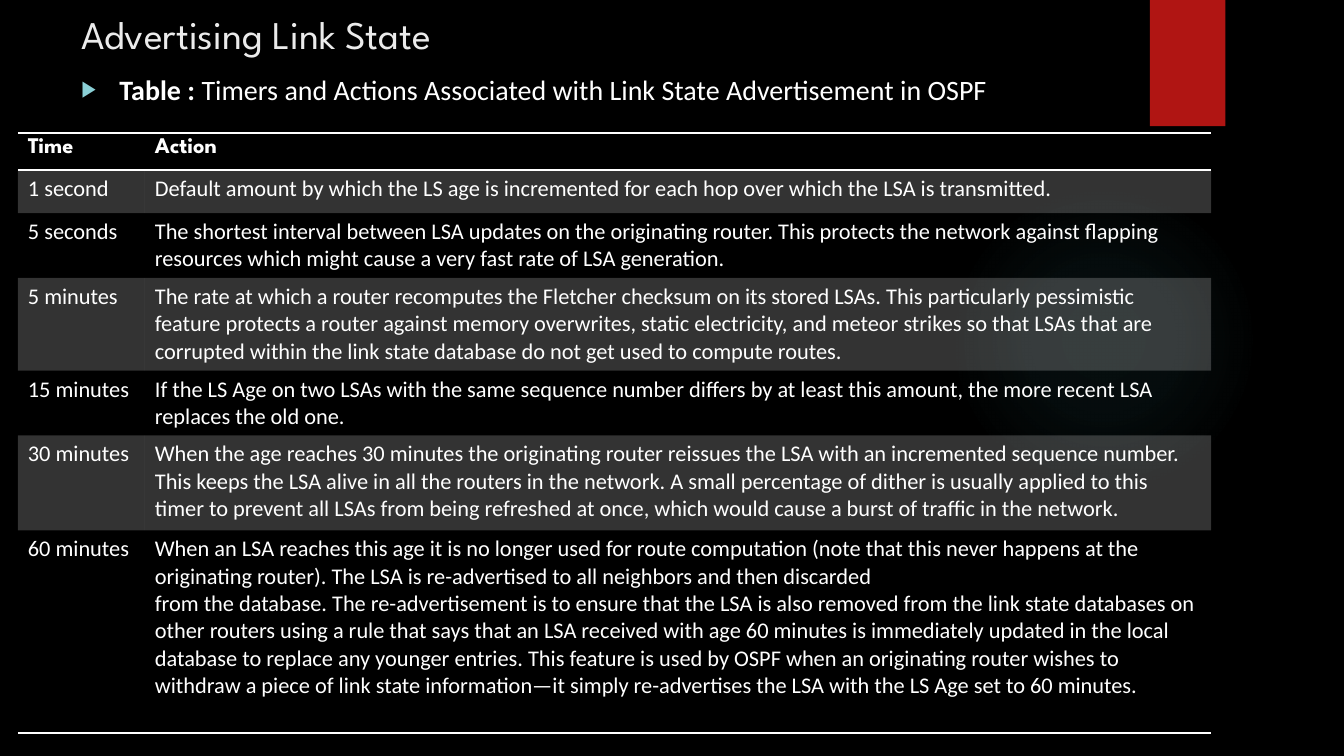
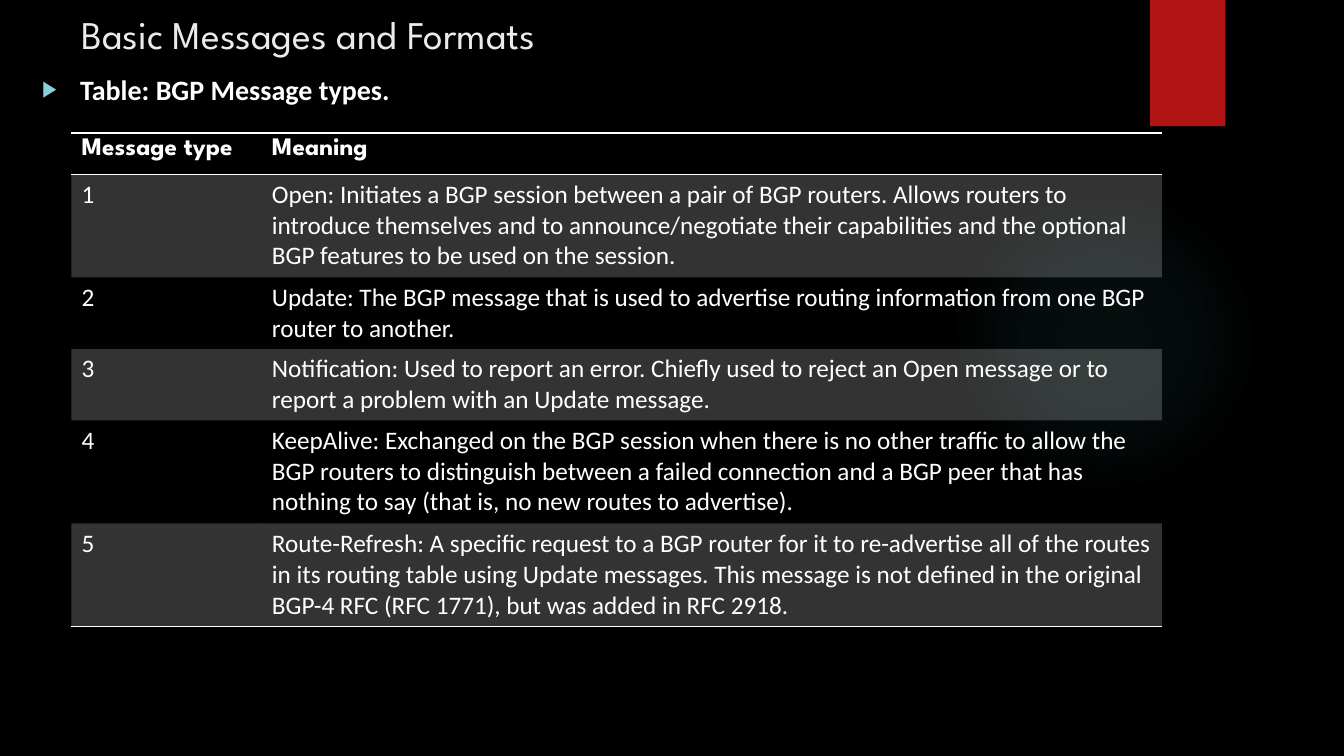
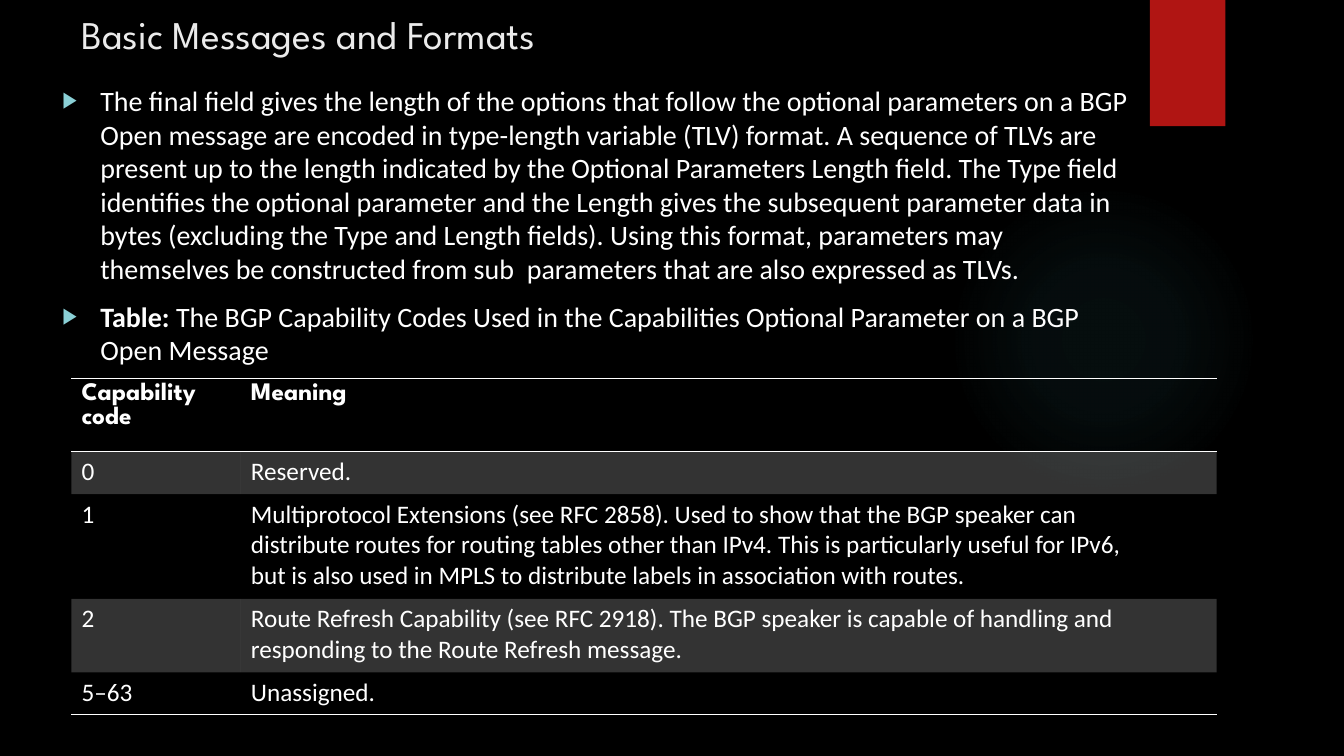
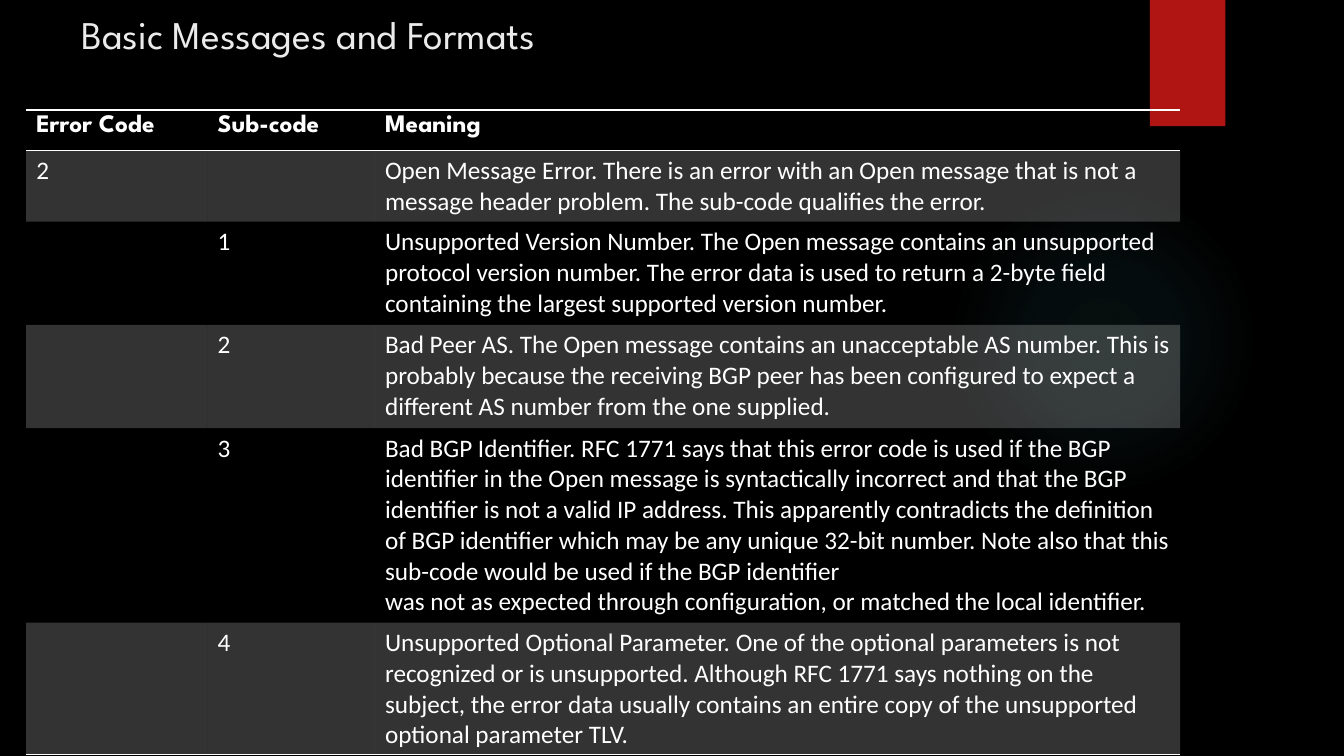
from lxml import etree
from pptx import Presentation
from pptx.dml.color import RGBColor
from pptx.enum import shapes, text
from pptx.oxml import parse_xml
from pptx.oxml.ns import nsdecls, qn
from pptx.util import Cm, Pt

BLACK, WHITE, OFF_WHITE = "000000", "FFFFFF", "EBEBEB"
RED, TEAL, AQUA = "B01513", "50B9C1", "8AD0D6"
HEAD_FONT, BODY_FONT = "League Spartan", "Calibri"
PLAIN_TABLE = "{2D5ABB26-0587-4C30-8999-92F81FD0307C}"
GLOW_STOPS = [(0, 7), (36, 6), (69, 0)]
BAND_ALPHA = 20

TIMERS = [
    ["Time", "Action"],
    ["1 second", "Default amount by which the LS age is incremented for each hop over which the LSA is transmitted."],
    ["5 seconds", "The shortest interval between LSA updates on the originating router. This protects the network "
     "against flapping resources which might cause a very fast rate of LSA generation."],
    ["5 minutes", "The rate at which a router recomputes the Fletcher checksum on its stored LSAs. This particularly "
     "pessimistic feature protects a router against memory overwrites, static electricity, and meteor strikes so "
     "that LSAs that are corrupted within the link state database do not get used to compute routes."],
    ["15 minutes", "If the LS Age on two LSAs with the same sequence number differs by at least this amount, the more "
     "recent LSA replaces the old one."],
    ["30 minutes", "When the age reaches 30 minutes the originating router reissues the LSA with an incremented "
     "sequence number. This keeps the LSA alive in all the routers in the network. A small percentage of dither is "
     "usually applied to this timer to prevent all LSAs from being refreshed at once, which would cause a burst of "
     "traffic in the network."],
    ["60 minutes", "When an LSA reaches this age it is no longer used for route computation (note that this never "
     "happens at the originating router). The LSA is re-advertised to all neighbors and then discarded\n"
     "from the database. The re-advertisement is to ensure that the LSA is also removed from the link state "
     "databases on other routers using a rule that says that an LSA received with age 60 minutes is immediately "
     "updated in the local database to replace any younger entries. This feature is used by OSPF when an originating "
     "router wishes to withdraw a piece of link state information—it simply re-advertises the LSA with the LS Age "
     "set to 60 minutes."],
]
MESSAGE_TYPES = [
    ["Message type", "Meaning"],
    ["1", "Open: Initiates a BGP session between a pair of BGP routers. Allows routers to introduce themselves and to "
     "announce/negotiate their capabilities and the optional BGP features to be used on the session."],
    ["2", "Update: The BGP message that is used to advertise routing information from one BGP router to another."],
    ["3", "Notification: Used to report an error. Chiefly used to reject an Open message or to report a problem with "
     "an Update message."],
    ["4", "KeepAlive: Exchanged on the BGP session when there is no other traffic to allow the BGP routers to "
     "distinguish between a failed connection and a BGP peer that has nothing to say (that is, no new routes to "
     "advertise)."],
    ["5", "Route-Refresh: A specific request to a BGP router for it to re-advertise all of the routes in its routing "
     "table using Update messages. This message is not defined in the original BGP-4 RFC (RFC 1771), but was added "
     "in RFC 2918."],
]
CAPABILITIES = [
    ["Capability code", "Meaning"],
    ["0", "Reserved."],
    ["1", "Multiprotocol Extensions (see RFC 2858). Used to show that the BGP speaker can\n"
     "distribute routes for routing tables other than IPv4. This is particularly useful for IPv6,\n"
     "but is also used in MPLS to distribute labels in association with routes."],
    ["2", "Route Refresh Capability (see RFC 2918). The BGP speaker is capable of handling and\n"
     "responding to the Route Refresh message."],
    ["5–63", "Unassigned."],
]
OPEN_ERRORS = [
    ["Error Code", "Sub-code", "Meaning"],
    ["2", "", "Open Message Error. There is an error with an Open message that is not a message header problem. The "
     "sub-code qualifies the error."],
    ["", "1", "Unsupported Version Number. The Open message contains an unsupported protocol version number. The "
     "error data is used to return a 2-byte field containing the largest supported version number."],
    ["", "2", "Bad Peer AS. The Open message contains an unacceptable AS number. This is probably because the "
     "receiving BGP peer has been configured to expect a different AS number from the one supplied."],
    ["", "3", "Bad BGP Identifier. RFC 1771 says that this error code is used if the BGP identifier in the Open "
     "message is syntactically incorrect and that the BGP identifier is not a valid IP address. This apparently "
     "contradicts the definition of BGP identifier which may be any unique 32-bit number. Note also that this "
     "sub-code would be used if the BGP identifier\n"
     "was not as expected through configuration, or matched the local identifier."],
    ["", "4", "Unsupported Optional Parameter. One of the optional parameters is not recognized or is unsupported. "
     "Although RFC 1771 says nothing on the subject, the error data usually contains an entire copy of the "
     "unsupported optional parameter TLV."],
]
TLV_TEXT = (
    "The final field gives the length of the options that follow the optional parameters on a BGP Open message are "
    "encoded in type-length variable (TLV) format. A sequence of TLVs are present up to the length indicated by the "
    "Optional Parameters Length field. The Type field identifies the optional parameter and the Length gives the "
    "subsequent parameter data in bytes (excluding the Type and Length fields). Using this format, parameters may "
    "themselves be constructed from sub  parameters that are also expressed as TLVs.")


def rgb(color):
    return RGBColor.from_string(color)


def style(r, size, font=BODY_FONT, color=WHITE, bold=False):
    r.font.size, r.font.name, r.font.bold = Pt(size), font, bold
    r.font.color.rgb = rgb(color)


def add_plain_shape(s, kind, box, color):
    sp = s.shapes.add_shape(kind, *map(Cm, box))
    sp.shadow.inherit = False
    sp.fill.solid()
    sp.fill.fore_color.rgb = rgb(color)
    sp.line.fill.background()
    return sp


def add_glow(s):
    sp = add_plain_shape(s, shapes.MSO_SHAPE.OVAL, (23.9, 4.65, 7.82, 7.82), TEAL)
    stops = "".join(
        f'<a:gs pos="{pos * 1000}"><a:srgbClr val="{TEAL}"><a:alpha val="{alpha * 1000}"/></a:srgbClr></a:gs>'
        for pos, alpha in GLOW_STOPS)
    gradient = parse_xml(
        f'<a:gradFill {nsdecls("a")} rotWithShape="1"><a:gsLst>{stops}</a:gsLst><a:path path="circle">'
        '<a:fillToRect l="50000" t="50000" r="50000" b="50000"/></a:path></a:gradFill>')
    spPr = sp._element.spPr
    spPr.replace(spPr.find(qn("a:solidFill")), gradient)


def add_text_box(s, box):
    tf = s.shapes.add_textbox(*map(Cm, box)).text_frame
    tf.word_wrap = True
    return tf


def new_slide(prs, title):
    s = prs.slides.add_slide(prs.slide_layouts[6])
    add_glow(s)
    add_plain_shape(s, shapes.MSO_SHAPE.RECTANGLE, (28.98, 0, 1.9, 3.18), RED)
    tf = add_text_box(s, (1.8, 0, 26.14, 1.7))
    tf.vertical_anchor = text.MSO_ANCHOR.MIDDLE
    tf.text = title
    style(tf.paragraphs[0].runs[0], 28, HEAD_FONT, OFF_WHITE)
    return s


def set_bullet(p):
    pPr = p._p.get_or_add_pPr()
    indent = Cm(0.96)
    pPr.set("marL", str(indent))
    pPr.set("indent", str(-indent))
    color = etree.SubElement(pPr, qn("a:buClr"))
    etree.SubElement(color, qn("a:srgbClr"), val=AQUA)
    etree.SubElement(pPr, qn("a:buSzPct"), val="80000")
    etree.SubElement(pPr, qn("a:buFont"), typeface="Arial")
    etree.SubElement(pPr, qn("a:buChar"), char="▶")


def add_bullets(s, box, items):
    tf = add_text_box(s, box)
    for i, (label, body) in enumerate(items):
        p = tf.add_paragraph() if i else tf.paragraphs[0]
        set_bullet(p)
        if i:
            p.space_before = Pt(10)
        for words, bold in ((label, True), (body, False)):
            if words:
                r = p.add_run()
                r.text = words
                style(r, 20, bold=bold)


def set_borders(cell, sides):
    tcPr = cell._tc.get_or_add_tcPr()
    for i, side in enumerate(sides):
        tcPr.insert(i, parse_xml(
            f'<a:ln{side} {nsdecls("a")} w="{Pt(1)}"><a:solidFill><a:srgbClr val="{WHITE}"/></a:solidFill>'
            f'</a:ln{side}>'))


def fill_cell(cell, banded):
    if not banded:
        cell.fill.background()
        return
    cell.fill.solid()
    cell.fill.fore_color.rgb = rgb(WHITE)
    color = cell._tc.tcPr.find(".//" + qn("a:srgbClr"))
    etree.SubElement(color, qn("a:alpha"), val=str(BAND_ALPHA * 1000))


def add_rule_table(s, left, top, widths, heights, rows, size=18):
    frame = s.shapes.add_table(len(rows), len(widths), Cm(left), Cm(top), Cm(sum(widths)), Cm(sum(heights)))
    frame._element.find(".//" + qn("a:tableStyleId")).text = PLAIN_TABLE
    table = frame.table
    table.horz_banding = False
    for column, width in zip(table.columns, widths):
        column.width = Cm(width)
    for i, (row, height, values) in enumerate(zip(table.rows, heights, rows)):
        row.height = Cm(height)
        header = i == 0
        sides = "TB" if header else "B" if i == len(rows) - 1 else ""
        for cell, value in zip(row.cells, values):
            cell.text_frame.text = value
            for p in cell.text_frame.paragraphs:
                for r in p.runs:
                    style(r, size, HEAD_FONT if header else BODY_FONT, bold=header)
            fill_cell(cell, i % 2 == 1)
            set_borders(cell, sides)


def main():
    prs = Presentation()
    prs.slide_width, prs.slide_height = Cm(33.87), Cm(19.05)
    background = prs.slide_master.background.fill
    background.solid()
    background.fore_color.rgb = rgb(BLACK)

    s = new_slide(prs, "Advertising Link State")
    add_bullets(s, (1.8, 1.7, 27.1, 15.67), [
        ("Table : ", "Timers and Actions Associated with Link State Advertisement in OSPF")])
    add_rule_table(s, 0.45, 3.35, [3.2, 26.87], [0.92, 1.09, 1.63, 2.34, 1.63, 2.39, 5.11], TIMERS, 16)

    s = new_slide(prs, "Basic Messages and Formats")
    add_bullets(s, (0.81, 1.7, 27.1, 15.67), [("Table: BGP Message types.", "")])
    add_rule_table(s, 1.8, 3.35, [4.8, 22.68], [1.04, 2.6, 1.8, 1.8, 2.6, 2.6], MESSAGE_TYPES)

    s = new_slide(prs, "Basic Messages and Formats")
    add_bullets(s, (1.32, 1.98, 27.58, 15.62), [
        ("", TLV_TEXT),
        ("Table: ", "The BGP Capability Codes Used in the Capabilities Optional Parameter on a BGP Open Message")])
    add_rule_table(s, 1.8, 9.53, [4.27, 24.59], [1.85, 1.07, 2.64, 1.85, 1.07], CAPABILITIES)

    s = new_slide(prs, "Basic Messages and Formats")
    add_rule_table(s, 0.66, 2.77, [4.57, 4.22, 20.29], [0.99, 1.8, 2.6, 2.6, 4.9, 3.33], OPEN_ERRORS)

    prs.save("out.pptx")


if __name__ == "__main__":
    main()
